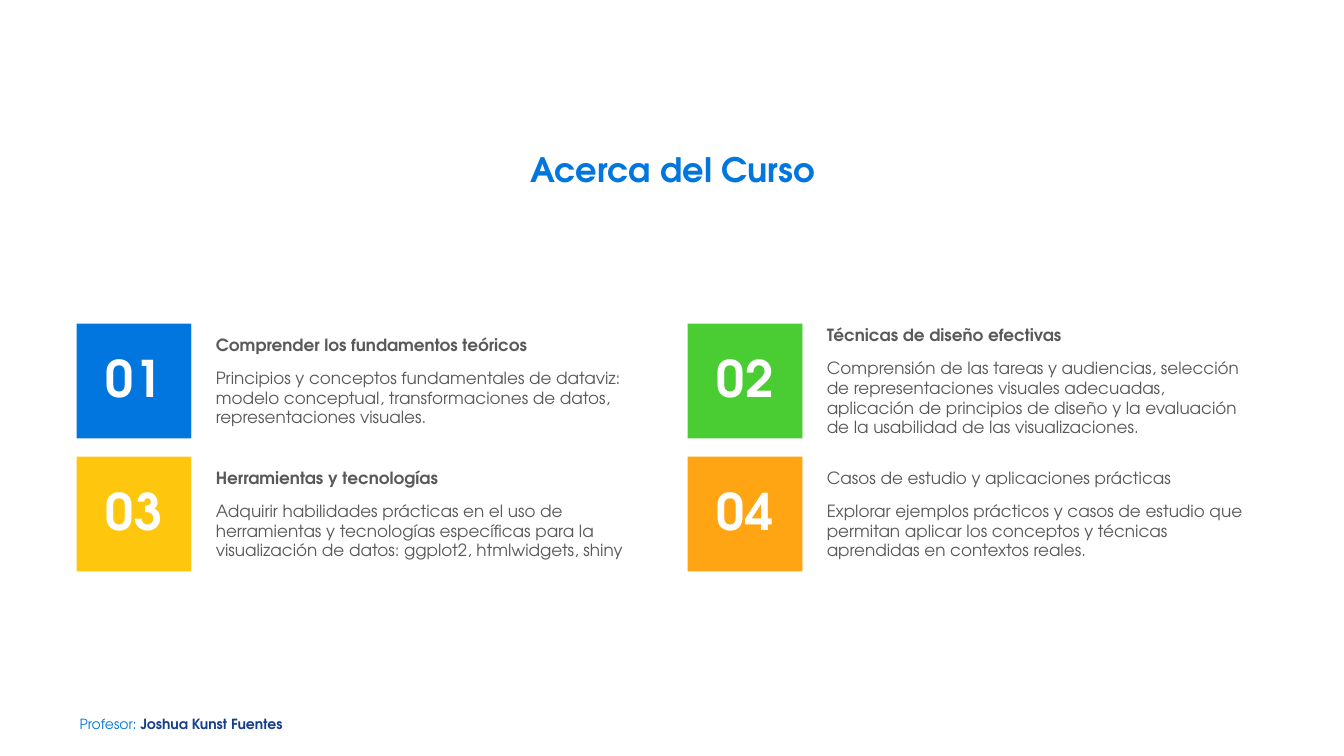
import pptx
import pptx.dml.color
import pptx.enum.shapes
import pptx.enum.text
import pptx.util

PX = 9144  # 100 px to the inch
FONT = "TeX Gyre Adventor"
COLORS = {
    "blue": "0176DE",
    "navy": "173F8A",
    "green": "4ACC33",
    "yellow": "FEC60D",
    "orange": "FFA412",
    "gray": "595959",
    "white": "FFFFFF",
}
ALIGN = pptx.enum.text.PP_ALIGN

# Topic grid
GRID_LEFT, GRID_TOP = 76, 321
COLUMN_STEP, ROW_STEP = 606, 132
TILE, TEXT_WIDTH, TEXT_INSET = 114, 461, 24

# Tile colour, heading, bold heading, description
TOPICS = [
    ("blue", "Comprender los fundamentos teóricos", True,
     "Principios y conceptos fundamentales de dataviz: modelo conceptual, "
     "transformaciones de datos, representaciones visuales."),
    ("green", "Técnicas de diseño efectivas", True,
     "Comprensión de las tareas y audiencias, selección de representaciones "
     "visuales adecuadas, aplicación de principios de diseño y la evaluación "
     "de la usabilidad de las visualizaciones."),
    ("yellow", "Herramientas y tecnologías", True,
     "Adquirir habilidades prácticas en el uso de herramientas y tecnologías "
     "específicas para la visualización de datos: ggplot2, htmlwidgets, shiny"),
    ("orange", "Casos de estudio y aplicaciones prácticas", False,
     "Explorar ejemplos prácticos y casos de estudio que permitan aplicar los "
     "conceptos y técnicas aprendidas en contextos reales."),
]


def rgb(color):
    return pptx.dml.color.RGBColor.from_string(COLORS[color])


def box(left, top, width, height):
    return [length * PX for length in (left, top, width, height)]


def set_insets(text_frame, inset):
    text_frame.margin_left = text_frame.margin_right = inset * PX
    text_frame.margin_top = text_frame.margin_bottom = inset * PX


def format_paragraph(paragraph, alignment, line_spacing, space_before=0):
    paragraph.alignment = alignment
    paragraph.line_spacing = line_spacing
    paragraph.space_before = pptx.util.Pt(space_before)


def add_run(paragraph, text, size, color, bold):
    run = paragraph.add_run()
    run.text = text
    run.font.name = FONT
    run.font.size = pptx.util.Pt(size)
    run.font.bold = bold
    run.font.color.rgb = rgb(color)


def add_line_of_text(slide, position, alignment, spacing, runs):
    text_frame = slide.shapes.add_textbox(*box(*position)).text_frame
    text_frame.word_wrap = True
    set_insets(text_frame, 0)
    paragraph = text_frame.paragraphs[0]
    format_paragraph(paragraph, alignment, pptx.util.Pt(spacing))
    for run in runs:
        add_run(paragraph, *run)


def add_rectangle(slide, left, top, width, fill):
    shape = slide.shapes.add_shape(
        pptx.enum.shapes.MSO_SHAPE.RECTANGLE, *box(left, top, width, TILE))
    shape.shadow.inherit = False
    shape.fill.solid()
    shape.fill.fore_color.rgb = rgb(fill)
    shape.line.fill.background()
    text_frame = shape.text_frame
    text_frame.word_wrap = True
    text_frame.vertical_anchor = pptx.enum.text.MSO_ANCHOR.MIDDLE
    return text_frame


def add_topic(slide, index, color, heading, bold, description):
    row, column = divmod(index, 2)
    left = GRID_LEFT + column * COLUMN_STEP
    top = GRID_TOP + row * ROW_STEP

    # Numbered tile
    number = add_rectangle(slide, left, top, TILE, color).paragraphs[0]
    format_paragraph(number, ALIGN.CENTER, 0.9, 10)
    add_run(number, f"{index + 1:02}", 36, "white", True)

    # Heading and description
    text_frame = add_rectangle(slide, left + TILE, top, TEXT_WIDTH, "white")
    set_insets(text_frame, TEXT_INSET)
    paragraphs = (text_frame.paragraphs[0], text_frame.add_paragraph())
    for paragraph, text, weight in zip(
            paragraphs, (heading, description), (bold, False)):
        format_paragraph(paragraph, ALIGN.LEFT, pptx.util.Pt(14), 10)
        add_run(paragraph, text, 12, "gray", weight)


def main():
    presentation = pptx.Presentation()
    presentation.slide_width = 1333 * PX
    presentation.slide_height = 750 * PX
    slide = presentation.slides.add_slide(presentation.slide_layouts[6])

    # Footer
    add_line_of_text(slide, (79, 696, 219, 26), ALIGN.LEFT, 22, [
        ("Profesor: ", 10, "blue", False),
        ("Joshua Kunst Fuentes", 10, "navy", True),
    ])

    # Title
    add_line_of_text(slide, (254, 150, 826, 68), ALIGN.CENTER, 27, [
        ("Acerca del Curso", 24, "blue", True),
    ])

    # Topics
    for index, topic in enumerate(TOPICS):
        add_topic(slide, index, *topic)

    presentation.save("out.pptx")


if __name__ == "__main__":
    main()
